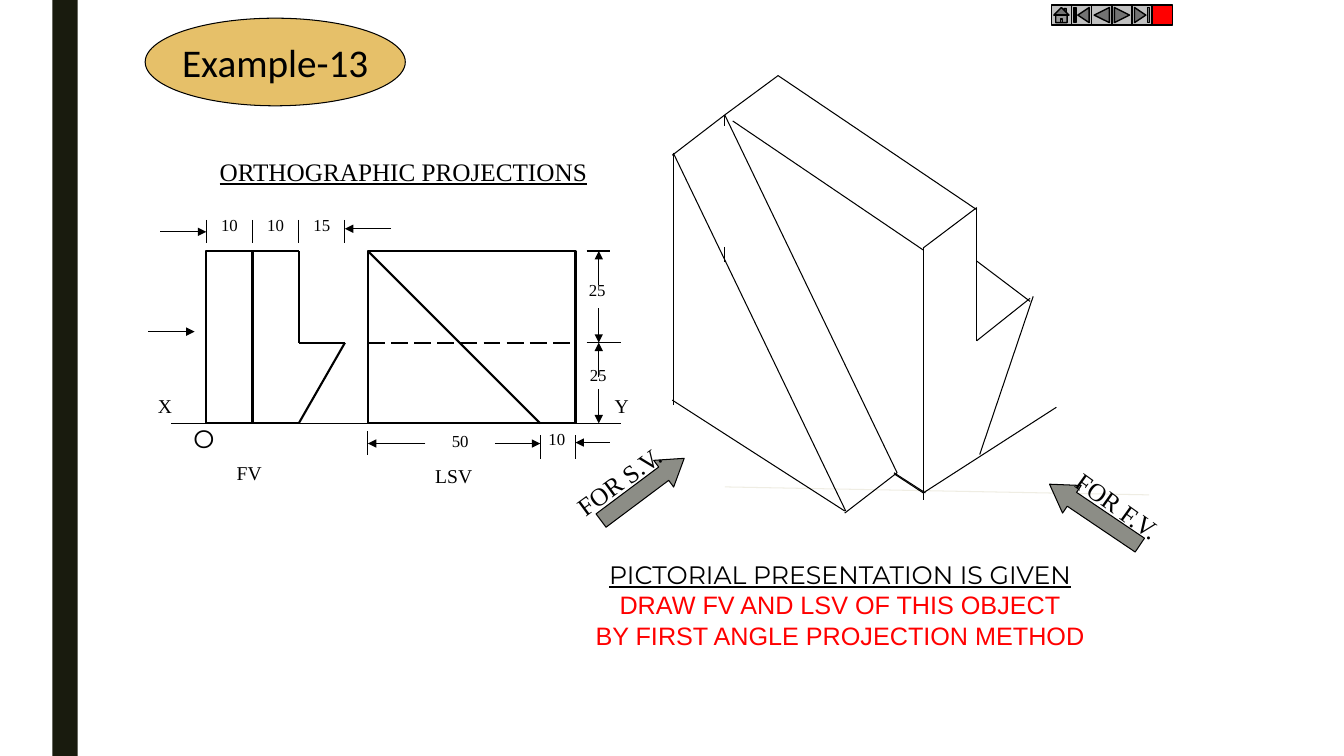
from dataclasses import dataclass

from lxml.etree import SubElement
from pptx import Presentation
from pptx.dml.color import RGBColor
from pptx.enum.dml import MSO_LINE
from pptx.enum.shapes import MSO_CONNECTOR, MSO_SHAPE
from pptx.enum.text import MSO_ANCHOR, MSO_AUTO_SIZE, PP_ALIGN
from pptx.oxml.ns import qn
from pptx.util import Pt

BLACK = "000000"
RED = "FF0000"
SERIF = "Times New Roman"

TOP, MIDDLE, BASE = 179.3, 244.8, 302.4
COLUMN = 33
COLUMNS = [147.4 + COLUMN * index for index in range(4)]
LEFT, FOOT, RIGHT = 262.8, 385.9, 411.1
HEIGHT_AXIS = 427.7
NUMBER_WIDTH = 26.6


@dataclass
class Line:
    x1: float
    y1: float
    x2: float
    y2: float
    color: str = BLACK
    width: float = 0.75
    arrow: bool = False
    dashed: bool = False


@dataclass
class Figure:
    kind: MSO_SHAPE
    x: float
    y: float
    width: float
    height: float
    fill: str
    line_width: float = 0.75
    rotation: float = 0


@dataclass
class Label:
    text: str
    x: float
    y: float
    width: float
    height: float
    size: float = 14
    font: str = SERIF
    align: PP_ALIGN = PP_ALIGN.LEFT
    underline: bool = False
    rotation: float = 0


def number(text: str, x: float, y: float) -> Label:
    return Label(text, x, y, NUMBER_WIDTH, 21.6, size=12, align=PP_ALIGN.CENTER)


def rgb(color: str) -> RGBColor:
    return RGBColor.from_string(color)


def write_text(shape, text: str, *, size: float = 18, font: str = SERIF, color: str = BLACK,
               align: PP_ALIGN = PP_ALIGN.CENTER, underline: bool = False) -> None:
    frame = shape.text_frame
    para = frame.add_paragraph() if frame.text else frame.paragraphs[0]
    para.alignment = align
    span = para.add_run()
    span.text = text
    span.font.size = Pt(size)
    span.font.name = font
    span.font.underline = underline
    span.font.color.rgb = rgb(color)


def draw_line(page, line: Line) -> None:
    connector = page.shapes.add_connector(
        MSO_CONNECTOR.STRAIGHT, Pt(line.x1), Pt(line.y1), Pt(line.x2), Pt(line.y2))
    connector.line.color.rgb = rgb(line.color)
    connector.line.width = Pt(line.width)
    if line.dashed:
        connector.line.dash_style = MSO_LINE.LONG_DASH
    properties = connector.element.spPr
    if line.arrow:
        SubElement(properties.find(qn("a:ln")), qn("a:tailEnd"), type="triangle")
    SubElement(properties, qn("a:effectLst"))


def draw_figure(page, figure: Figure):
    shape = page.shapes.add_shape(
        figure.kind, Pt(figure.x), Pt(figure.y), Pt(figure.width), Pt(figure.height))
    shape.shadow.inherit = False
    shape.rotation = figure.rotation
    shape.fill.solid()
    shape.fill.fore_color.rgb = rgb(figure.fill)
    if figure.line_width:
        shape.line.color.rgb = rgb(BLACK)
        shape.line.width = Pt(figure.line_width)
    else:
        shape.line.fill.background()
    return shape


def add_box(page, x: float, y: float, width: float, height: float):
    box = page.shapes.add_textbox(Pt(x), Pt(y), Pt(width), Pt(height))
    box.text_frame.word_wrap = False
    box.text_frame.auto_size = MSO_AUTO_SIZE.SHAPE_TO_FIT_TEXT
    return box


def draw_label(page, label: Label) -> None:
    box = add_box(page, label.x, label.y, label.width, label.height)
    box.rotation = label.rotation
    write_text(box, label.text, size=label.size, font=label.font,
               align=label.align, underline=label.underline)


PICTORIAL = [
    Line(517.7, 347.8, 820.8, 353.5, color="EFEDE3"),
    Line(659.5, 352.1, 754.6, 290.9),
    Line(659.5, 352.1, 638.6, 338.4),
    Line(661, 352.1, 638.6, 337.7),
    Line(659.5, 357.1, 659.5, 177.1),
    Line(659.5, 177.1, 697.7, 148.3),
    Line(697.7, 148.3, 697.7, 243.4),
    Line(697.7, 243.4, 735.8, 213.1),
    Line(738, 211.7, 699.8, 324.7),
    Line(735.8, 215.3, 697.7, 186.5),
    Line(659.5, 178.6, 523.4, 86.4),
    Line(697.7, 149.8, 555.8, 54),
    Line(517.7, 82.1, 555.8, 54),
    Line(517.7, 82.1, 517.7, 90),
    Line(517.7, 176.4, 517.7, 187.2),
    Line(480.2, 110.9, 517.7, 82.1),
    Line(481, 289.4, 481, 109.4),
    Line(480.2, 285.8, 603.4, 365),
    Line(603.4, 366.5, 640.8, 337.7),
    Line(517.7, 82.1, 640.8, 337.7),
    Line(481, 109.4, 604.1, 365),
]
GROUND = Line(122.4, BASE, HEIGHT_AXIS, BASE)
VIEWS = [
    Figure(MSO_SHAPE.RECTANGLE, COLUMNS[0], TOP, COLUMN, BASE - TOP, "FFFFFF", 1.5),
    Figure(MSO_SHAPE.RECTANGLE, LEFT, TOP, RIGHT - LEFT, BASE - TOP, "FFFFFF", 1.5),
]
FRONT_OUTLINE = [(COLUMNS[1], TOP), (COLUMNS[2], TOP), (COLUMNS[2], MIDDLE),
                 (COLUMNS[3], MIDDLE), (COLUMNS[2], BASE), (COLUMNS[1], BASE)]
VIEW_LINES = [
    *(Line(*start, *end, width=1.5) for start, end in zip(FRONT_OUTLINE, FRONT_OUTLINE[1:])),
    Line(LEFT, TOP, FOOT, BASE, width=1.5),
    Line(LEFT, MIDDLE, RIGHT, MIDDLE, width=1.5, dashed=True),
]
TICKS = [
    *(Line(x, 157, x, 173.5) for x in COLUMNS),
    Line(LEFT, 308.2, LEFT, 324.7),
    *(Line(x, 311, x, 327.6) for x in (FOOT, RIGHT)),
    Line(419, TOP, 435.6, TOP),
    *(Line(419, y, 443.5, y) for y in (MIDDLE, BASE)),
]
ARROWS = [
    *(Line(HEIGHT_AXIS, start, HEIGHT_AXIS, end, arrow=True) for start, end in
      ((203.8, TOP), (220.3, MIDDLE), (269.3, MIDDLE), (277.9, BASE))),
    *(Line(start, y, end, y, arrow=True) for start, y, end in
      ((435.6, 316.1, RIGHT), (353.5, 316.8, FOOT), (303.8, 316.8, LEFT),
       (105.8, 236.9, 139), (COLUMNS[0] - COLUMN, 165.6, COLUMNS[0]),
       (COLUMNS[3] + COLUMN, 163.4, COLUMNS[3]))),
]
DIRECTIONS = [
    Figure(MSO_SHAPE.LEFT_ARROW, 421.9, 337.7, 74.2, 23.8, "8C8D86", rotation=143.2),
    Figure(MSO_SHAPE.LEFT_ARROW, 743, 355.7, 77.8, 23.8, "8C8D86", rotation=34),
]
LABELS = [
    Label("ORTHOGRAPHIC PROJECTIONS", 149.8, 108, 279.4, 28.8, size=18, underline=True),
    Label("FV", 162, 325.4, 33, 23.8),
    Label("LSV", 303.8, 327.6, 41.8, 23.8),
    Label("X", 105.8, 277.9, 24.5, 24.5),
    Label("Y", 432, 277.9, 24.5, 24.5),
    Label("O", 131, 298.8, 29.5, 28.8, size=18, font="Montserrat", align=PP_ALIGN.CENTER),
    Label("FOR S.V.", 400.3, 329, 84.2, 28.8, size=18, rotation=323.8),
    Label("FOR F.V.", 757.4, 347, 82.8, 28.8, size=18, rotation=35.6),
    *(number(text, x + (COLUMN - NUMBER_WIDTH) / 2, 149.8)
      for text, x in zip(("10", "10", "15"), COLUMNS)),
    number("25", 413.3, 196.6),
    number("25", 414, 257),
    number("10", 384.5, 302.4),
    number("50", 315.4, 303.8),
]
BUTTONS = [
    (MSO_SHAPE.ACTION_BUTTON_HOME, "C0C0C0"),
    (MSO_SHAPE.ACTION_BUTTON_BEGINNING, "C0C0C0"),
    (MSO_SHAPE.ACTION_BUTTON_BACK_OR_PREVIOUS, "C0C0C0"),
    (MSO_SHAPE.ACTION_BUTTON_FORWARD_OR_NEXT, "C0C0C0"),
    (MSO_SHAPE.ACTION_BUTTON_END, "C0C0C0"),
    (MSO_SHAPE.ACTION_BUTTON_CUSTOM, RED),
]


def main() -> None:
    deck = Presentation()
    deck.slide_width, deck.slide_height = Pt(960), Pt(540)
    page = deck.slides.add_slide(deck.slide_layouts[6])

    draw_figure(page, Figure(MSO_SHAPE.RECTANGLE, 37.4, 0, 18, 540, "191B0E", 0))
    for line in [*PICTORIAL, GROUND]:
        draw_line(page, line)
    for view in VIEWS:
        draw_figure(page, view)
    for line in [*VIEW_LINES, *TICKS, *ARROWS]:
        draw_line(page, line)
    for direction, head in zip(DIRECTIONS, (0.77, 0.81)):
        draw_figure(page, direction).adjustments[1] = head
    for label in LABELS:
        draw_label(page, label)

    caption = add_box(page, 408.2, 396, 383.8, 72)
    write_text(caption, "PICTORIAL PRESENTATION IS GIVEN", font="Montserrat", underline=True)
    for text in ("DRAW FV AND LSV OF THIS OBJECT", "BY FIRST ANGLE PROJECTION METHOD"):
        write_text(caption, text, font="Arial", color=RED)

    for index, (kind, fill) in enumerate(BUTTONS):
        draw_figure(page, Figure(kind, 751 + 14.4 * index, 3.6, 14.4, 14.4, fill, 1))

    title = draw_figure(page, Figure(MSO_SHAPE.OVAL, 103.7, 13, 185.8, 62.6, "E6C069"))
    title.text_frame.word_wrap = False
    title.text_frame.vertical_anchor = MSO_ANCHOR.MIDDLE
    write_text(title, "Example-13", size=28, font="Calibri")

    deck.save("out.pptx")


if __name__ == "__main__":
    main()
